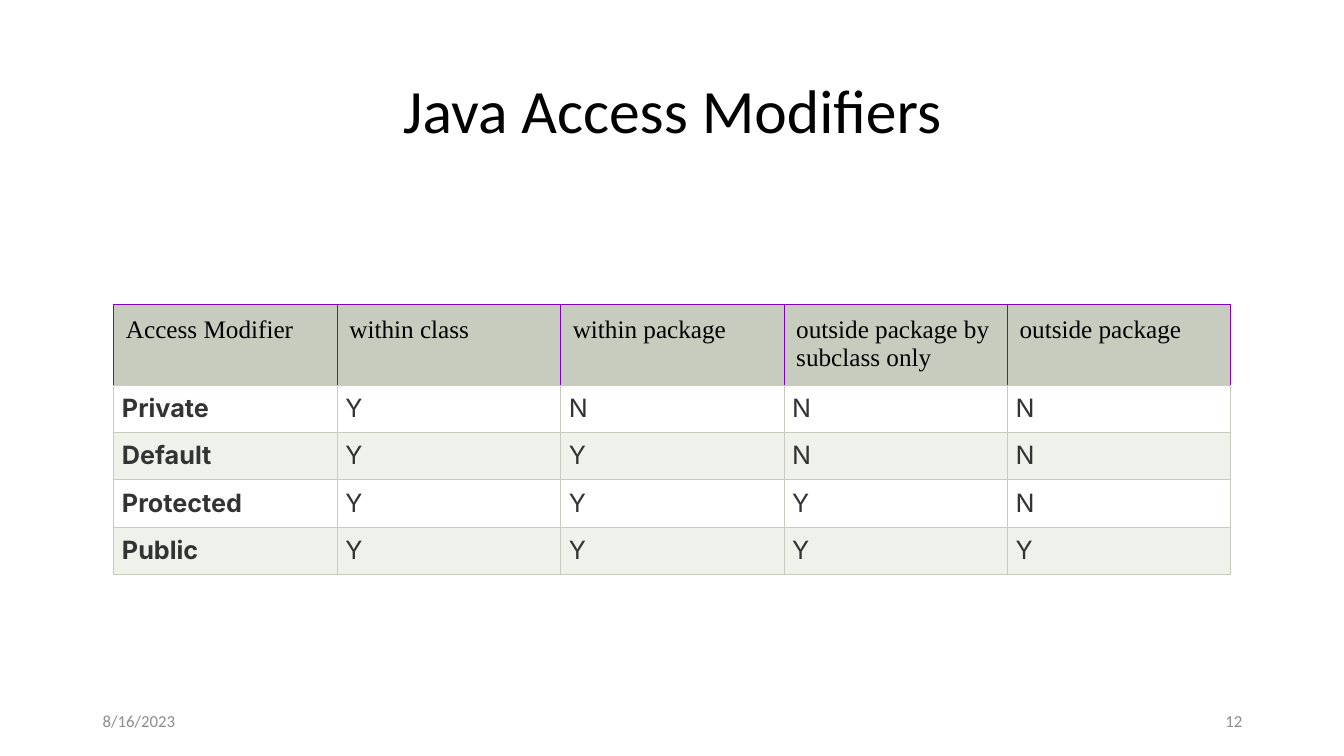
import pptx
import pptx.dml.color
import pptx.enum.text
import pptx.oxml
import pptx.oxml.ns
import pptx.util
from dataclasses import dataclass

Inches = pptx.util.Inches
ALIGN = pptx.enum.text.PP_ALIGN
ANCHOR = pptx.enum.text.MSO_ANCHOR


@dataclass(frozen=True)
class Theme:
    """Colours, fonts and type sizes of the slide."""
    black: str = "000000"
    body: str = "333333"
    muted: str = "8C8C8C"
    white: str = "FFFFFF"
    band: str = "EFF1EB"
    header: str = "C7CCBE"
    accent: str = "8001C2"
    font: str = "Calibri"
    header_font: str = "Times New Roman"
    body_font: str = "Inter"
    title_size: int = 44
    table_size: int = 18
    footer_size: int = 12


theme = Theme()


def write_text(tf, text, font=theme.font, size=theme.table_size, color=theme.black,
               bold=False, align=ALIGN.LEFT, anchor=ANCHOR.MIDDLE, spacing=None):
    """Put one formatted paragraph into a text frame."""
    tf.word_wrap = True
    tf.vertical_anchor = anchor
    p = tf.paragraphs[0]
    p.alignment = align
    p.line_spacing = spacing
    r = p.add_run()
    r.text = text
    r.font.name = font
    r.font.size = pptx.util.Pt(size)
    r.font.bold = bold
    r.font.color.rgb = pptx.dml.color.RGBColor.from_string(color)


def style_cell(cell, fill, edge, bottom, margin):
    """Set the borders, fill and margins of a table cell."""
    tc_pr = cell._tc.get_or_add_tcPr()
    for side, color in (("L", edge), ("R", edge), ("T", edge), ("B", bottom)):
        tc_pr.append(pptx.oxml.parse_xml(
            f'<a:ln{side} {pptx.oxml.ns.nsdecls("a")} w="{pptx.util.Pt(0.75)}">'
            f'<a:solidFill><a:srgbClr val="{color}"/></a:solidFill></a:ln{side}>'))
    cell.fill.solid()
    cell.fill.fore_color.rgb = pptx.dml.color.RGBColor.from_string(fill)
    cell.margin_left = cell.margin_right = Inches(margin)
    cell.margin_top = cell.margin_bottom = Inches(margin)


prs = pptx.Presentation()
prs.slide_width, prs.slide_height = Inches(13.33), Inches(7.5)
s = prs.slides.add_slide(prs.slide_layouts.get_by_name("Title Only"))

# Title
title = s.shapes.title
title.left, title.top = Inches(0.92), Inches(0.4)
title.width, title.height = Inches(11.5), Inches(1.45)
write_text(title.text_frame, "Java Access Modifiers", size=theme.title_size,
           align=ALIGN.CENTER, spacing=0.9)

# Access table
headings = ["Access Modifier", "within class", "within package",
            "outside package by subclass only", "outside package"]
access = {"Private": "YNNN", "Default": "YYNN", "Protected": "YYYN", "Public": "YYYY"}
rows = [headings] + [[name, *flags] for name, flags in access.items()]

header_height, row_height = 0.8, 0.47
table = s.shapes.add_table(
    len(rows), len(headings), Inches(1.13), Inches(3.02), Inches(11.08),
    Inches(header_height + row_height * len(access))).table
table.first_row = table.horz_banding = False

for i, values in enumerate(rows):
    is_header = i == 0
    table.rows[i].height = Inches(header_height if is_header else row_height)
    for j, value in enumerate(values):
        cell = table.cell(i, j)
        if is_header:
            style_cell(cell, theme.header, theme.accent, theme.header, 0.12)
            write_text(cell.text_frame, value, font=theme.header_font, anchor=ANCHOR.TOP)
        else:
            fill = theme.white if i % 2 else theme.band
            style_cell(cell, fill, theme.header, theme.header, 0.08)
            write_text(cell.text_frame, value, font=theme.body_font, color=theme.body,
                       bold=j == 0, align=ALIGN.JUSTIFY, anchor=ANCHOR.TOP)

# Date and slide number
for left, text, align in ((0.92, "8/16/2023", ALIGN.LEFT), (9.42, "12", ALIGN.RIGHT)):
    sp = s.shapes.add_textbox(Inches(left), Inches(6.95), Inches(3), Inches(0.4))
    write_text(sp.text_frame, text, size=theme.footer_size, color=theme.muted, align=align)

prs.save("out.pptx")
